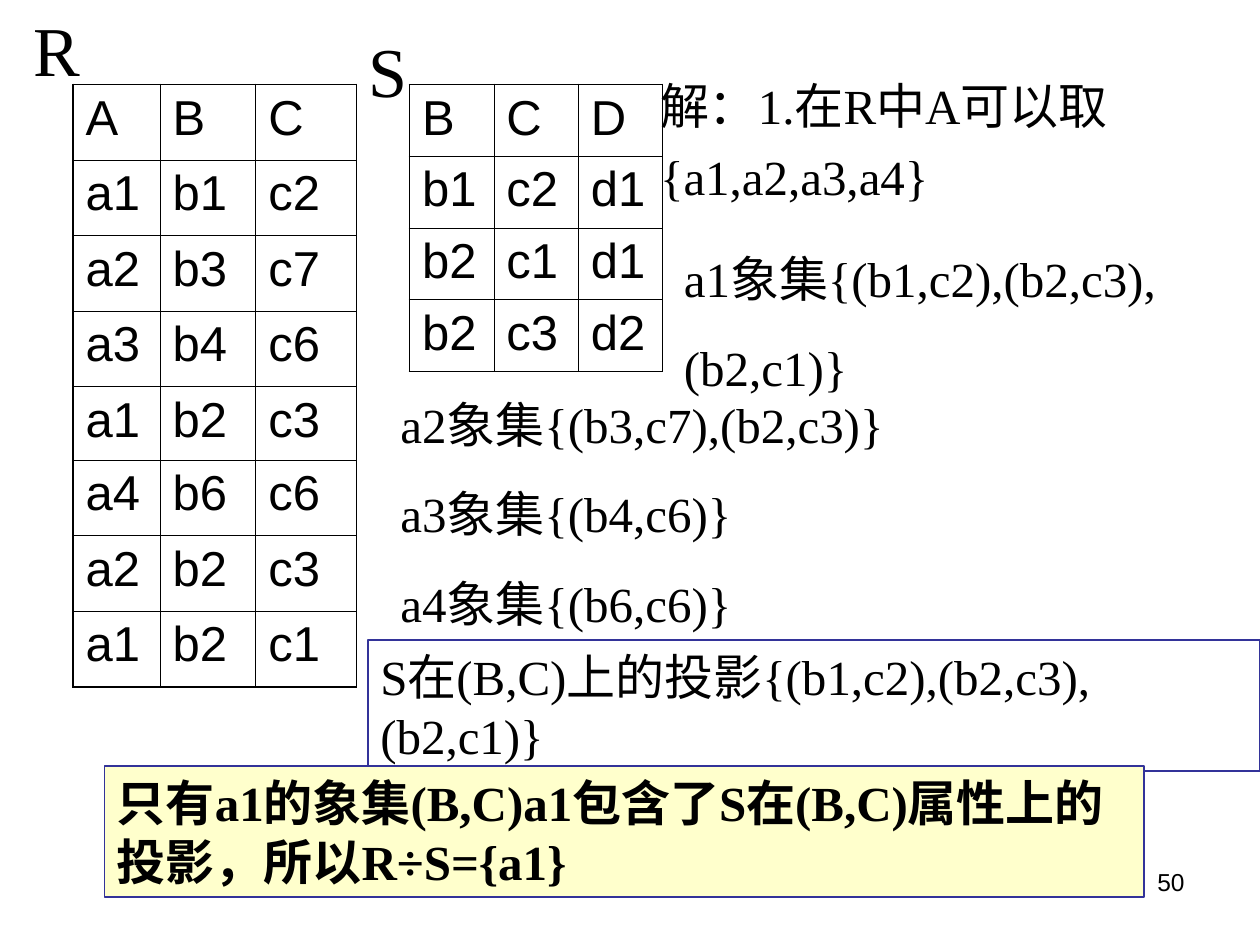
import pptx
import pptx.dml.color
import pptx.enum.shapes
import pptx.enum.text
import pptx.oxml
import pptx.oxml.ns
import pptx.util
from pptx.util import Inches

COLORS = {"ink": "000000", "frame": "333399", "highlight": "FFFFCC"}
SERIF = "Times New Roman"
SANS = "Arial"
OUTER, INNER = 1.08, 0.45  # border widths in points

R_ROWS = ["A B C", "a1 b1 c2", "a2 b3 c7", "a3 b4 c6",
          "a1 b2 c3", "a4 b6 c6", "a2 b2 c3", "a1 b2 c1"]
S_ROWS = ["B C D", "b1 c2 d1", "b2 c1 d1", "b2 c3 d2"]


def rgb(name):
    return pptx.dml.color.RGBColor.from_string(COLORS[name])


def write(frame, text, font=SERIF, size=28, bold=False, gap=0, wrap=True,
          align=pptx.enum.text.PP_ALIGN.LEFT):
    """Fill a text frame, one paragraph a line, with gap points between them."""
    frame.word_wrap = wrap
    frame.vertical_anchor = pptx.enum.text.MSO_ANCHOR.TOP
    frame.text = text
    for index, paragraph in enumerate(frame.paragraphs):
        paragraph.alignment = align
        paragraph.space_before = pptx.util.Pt(gap if index else 0)
        for run in paragraph.runs:
            run.font.name = font
            run.font.size = pptx.util.Pt(size)
            run.font.bold = bold
            run.font.color.rgb = rgb("ink")


def add_text(slide, left, top, width, height, text, **style):
    box = slide.shapes.add_textbox(
        Inches(left), Inches(top), Inches(width), Inches(height))
    write(box.text_frame, text, **style)


def add_framed(slide, left, top, width, height, text, fill=None, **style):
    box = slide.shapes.add_shape(
        pptx.enum.shapes.MSO_SHAPE.RECTANGLE,
        Inches(left), Inches(top), Inches(width), Inches(height))
    box.shadow.inherit = False
    box.line.color.rgb = rgb("frame")
    box.line.width = pptx.util.Pt(0.75)
    if fill:
        box.fill.solid()
        box.fill.fore_color.rgb = rgb(fill)
    else:
        box.fill.background()
    write(box.text_frame, text, **style)


def set_borders(cell, widths):
    """Draw the borders; widths maps L, R, T and B, in that order, to points."""
    properties = cell._tc.get_or_add_tcPr()
    for position, (side, width) in enumerate(widths.items()):
        properties.insert(position, pptx.oxml.parse_xml(
            f'<a:ln{side} {pptx.oxml.ns.nsdecls("a")} w="{pptx.util.Pt(width)}">'
            f'<a:solidFill><a:srgbClr val="{COLORS["ink"]}"/></a:solidFill>'
            f'</a:ln{side}>'))


def add_relation(slide, left, top, rows, widths, heights):
    table = slide.shapes.add_table(
        len(rows), len(widths), Inches(left), Inches(top),
        Inches(sum(widths)), Inches(sum(heights))).table
    table.first_row = table.horz_banding = False
    for column, width in zip(table.columns, widths):
        column.width = Inches(width)
    last_row, last_column = len(rows) - 1, len(widths) - 1
    for r, (line, height) in enumerate(zip(rows, heights)):
        table.rows[r].height = Inches(height)
        for c, value in enumerate(line.split()):
            cell = table.cell(r, c)
            cell.fill.background()
            write(cell.text_frame, value, font=SANS)
            edges = {"L": c == 0, "R": c == last_column,
                     "T": r == 0, "B": r == last_row}
            set_borders(cell, {side: OUTER if outer else INNER
                               for side, outer in edges.items()})


def main():
    deck = pptx.Presentation()
    deck.slide_width, deck.slide_height = Inches(10), Inches(7.5)
    slide = deck.slides.add_slide(deck.slide_layouts[6])

    # Slide number
    add_text(slide, 7.17, 6.83, 2.33, 0.52, "50", font=SANS, size=14,
             align=pptx.enum.text.PP_ALIGN.RIGHT)

    # Relations R and S with their names
    add_relation(slide, 0.58, 0.67, R_ROWS, [0.69, 0.76, 0.8],
                 [0.6] * 4 + [0.58] + [0.6] * 3)
    add_relation(slide, 3.25, 0.67, S_ROWS, [0.67] * 3, [0.57] * 4)
    add_text(slide, 0.17, 0, 0.58, 0.77, "R", size=40)
    add_text(slide, 2.83, 0.17, 0.58, 0.77, "S", size=40)

    # Image sets of each value of A
    add_text(slide, 5.33, 1.92, 4.33, 1.28,
             "a1象集{(b1,c2),(b2,c3),\n(b2,c1)}", gap=17.5)
    add_text(slide, 5.14, 0.55, 4.31, 1.13,
             "解：1.在R中A可以取\n{a1,a2,a3,a4}", gap=7, wrap=False)
    add_text(slide, 3.08, 3.08, 5, 1.99,
             "a2象集{(b3,c7),(b2,c3)}\na3象集{(b4,c6)}\na4象集{(b6,c6)}",
             gap=17.5)

    # Projection of S and the conclusion
    add_framed(slide, 2.92, 5.08, 7.08, 1.04,
               "S在(B,C)上的投影{(b1,c2),(b2,c3),(b2,c1)}")
    add_framed(slide, 0.83, 6.08, 8.25, 1.04,
               "只有a1的象集(B,C)a1包含了S在(B,C)属性上的投影，所以R÷S={a1}",
               fill="highlight", bold=True)

    deck.save("out.pptx")


if __name__ == "__main__":
    main()
